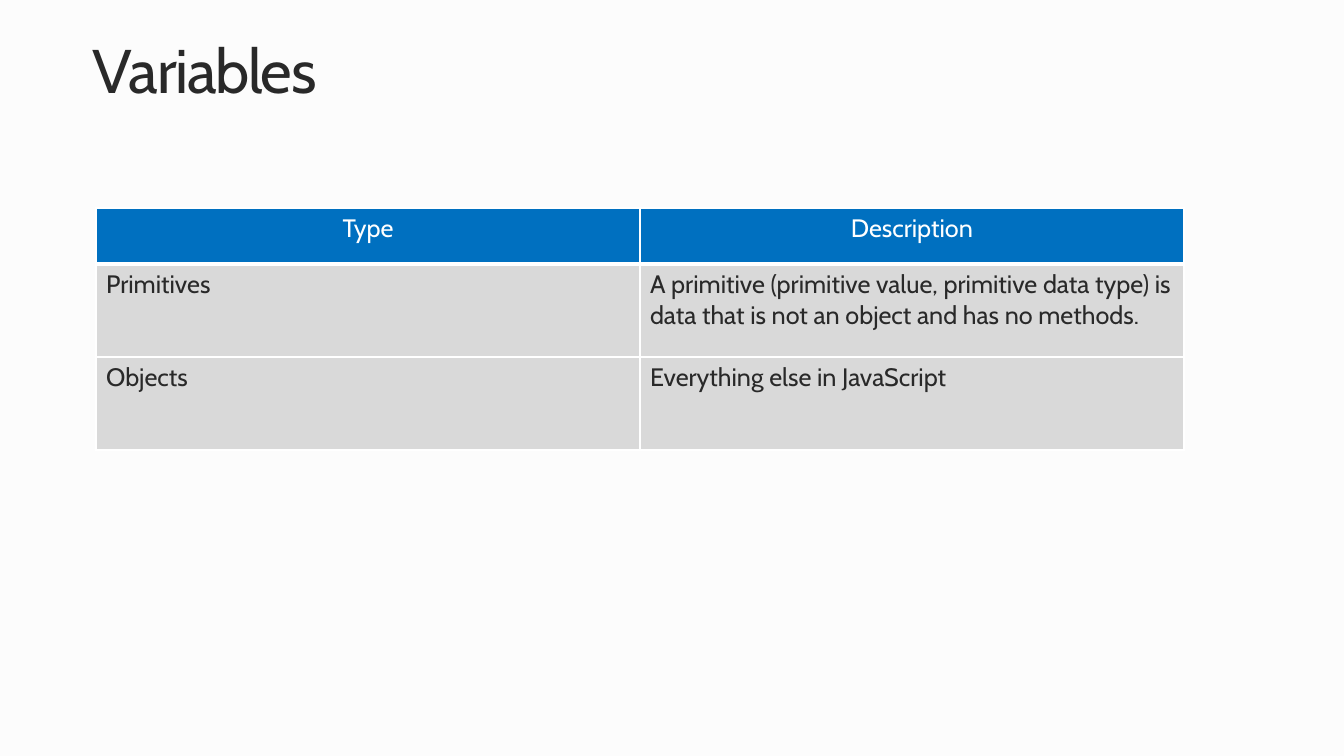
from lxml.etree import SubElement
from pptx import Presentation
from pptx.dml.color import RGBColor
from pptx.enum.text import MSO_ANCHOR, MSO_AUTO_SIZE, PP_ALIGN
from pptx.oxml.ns import qn
from pptx.util import Emu, Pt

FONT = "Cabin"
PAPER = RGBColor(0xFC, 0xFC, 0xFC)
INK = RGBColor(0x29, 0x29, 0x29)
WHITE = RGBColor(0xFF, 0xFF, 0xFF)
BLUE = RGBColor(0x00, 0x70, 0xC0)
GREY = RGBColor(0xD9, 0xD9, 0xD9)

ROWS = [
    ("Type", "Description"),
    ("Primitives", "A primitive (primitive value, primitive data type) is "
                   "data that is not an object and has no methods."),
    ("Objects", "Everything else in JavaScript"),
]
ROW_HEIGHTS = [56, 93, 93]
COLUMN_WIDTH = 544


def px(length):
    return Emu(round(length * 914400 / 100.8))


def add_border(cell, side, points):
    line = SubElement(cell._tc.get_or_add_tcPr(), qn(f"a:ln{side}"), w=str(Pt(points)))
    fill = SubElement(line, qn("a:solidFill"))
    SubElement(fill, qn("a:srgbClr"), val=str(WHITE))


# Slide and background
deck = Presentation()
deck.slide_width, deck.slide_height = px(1344), px(756)
slide = deck.slides.add_slide(deck.slide_layouts[5])
slide.background.fill.solid()
slide.background.fill.fore_color.rgb = PAPER

# Title
title = slide.shapes.title
title.left, title.top, title.width, title.height = px(93), px(40), px(1230), px(69)
heading = title.text_frame
heading.text = "Variables"
heading.margin_left = heading.margin_right = heading.margin_top = heading.margin_bottom = 0
heading.vertical_anchor = MSO_ANCHOR.TOP
heading.word_wrap = True
heading.auto_size = MSO_AUTO_SIZE.SHAPE_TO_FIT_TEXT
heading_line = heading.paragraphs[0]
heading_line.alignment = PP_ALIGN.LEFT
heading_line.line_spacing = 0.9
heading_line.font.name = FONT
heading_line.font.size = Pt(44)
heading_line.font.color.rgb = INK
heading_line.runs[0].font._element.set("spc", "-100")

# Table of variable types
types = slide.shapes.add_table(len(ROWS), 2, px(96), px(208),
                               px(2 * COLUMN_WIDTH), px(sum(ROW_HEIGHTS))).table
for column in types.columns:
    column.width = px(COLUMN_WIDTH)

for r, texts in enumerate(ROWS):
    types.rows[r].height = px(ROW_HEIGHTS[r])
    is_header = r == 0
    for c, text in enumerate(texts):
        cell = types.cell(r, c)
        cell.text = text
        # The rule under the header is thicker than the others
        widths = {"L": 1, "R": 1, "T": 3 if r == 1 else 1, "B": 3 if is_header else 1}
        for side, points in widths.items():
            add_border(cell, side, points)
        cell.fill.solid()
        cell.fill.fore_color.rgb = BLUE if is_header else GREY
        entry = cell.text_frame.paragraphs[0]
        entry.alignment = PP_ALIGN.CENTER if is_header else PP_ALIGN.LEFT
        entry.font.name = FONT
        entry.font.size = Pt(18)
        entry.font.bold = False
        entry.font.color.rgb = WHITE if is_header else INK

deck.save("out.pptx")
